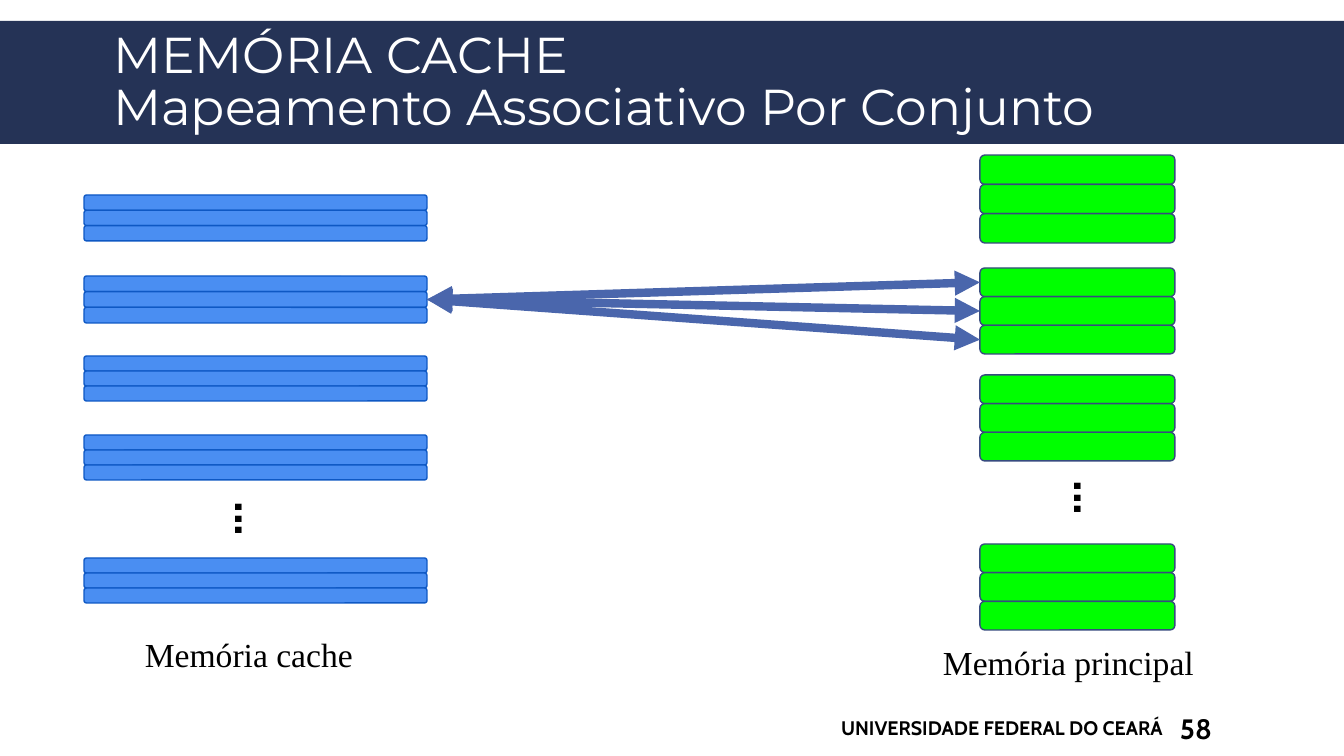
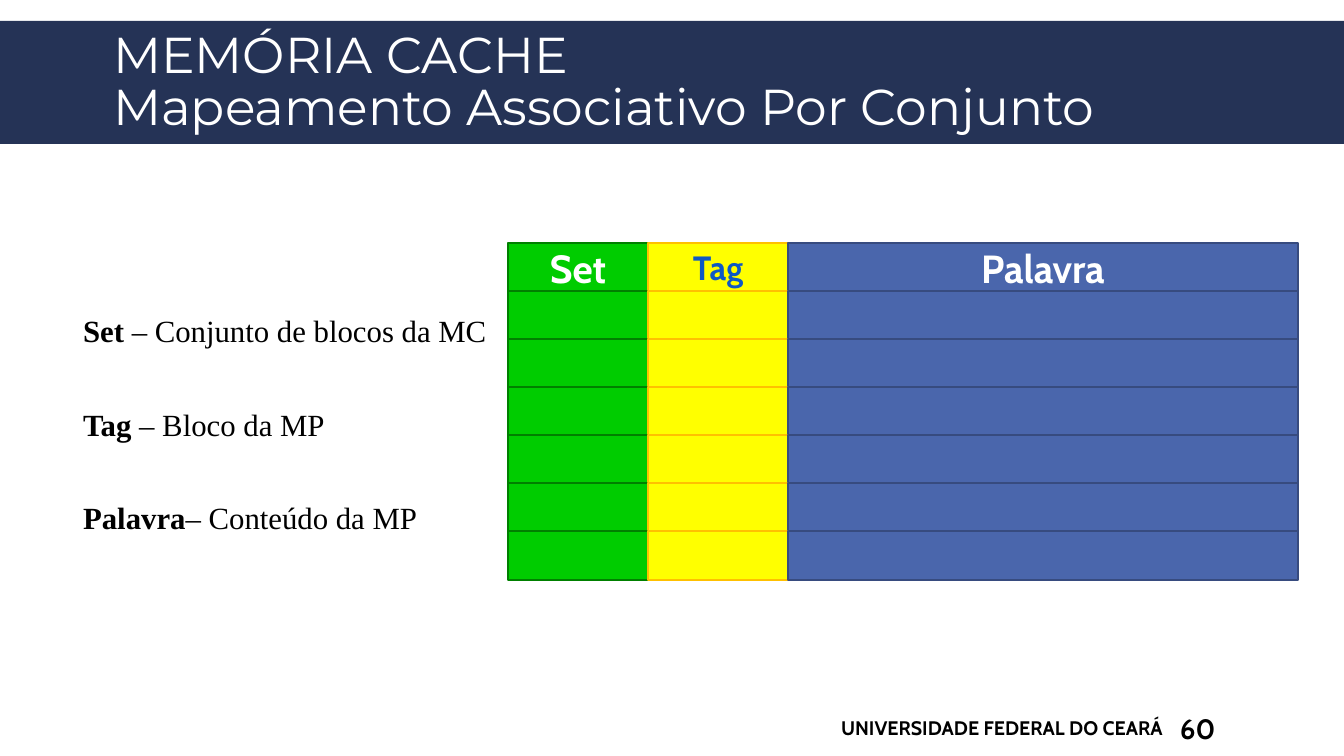
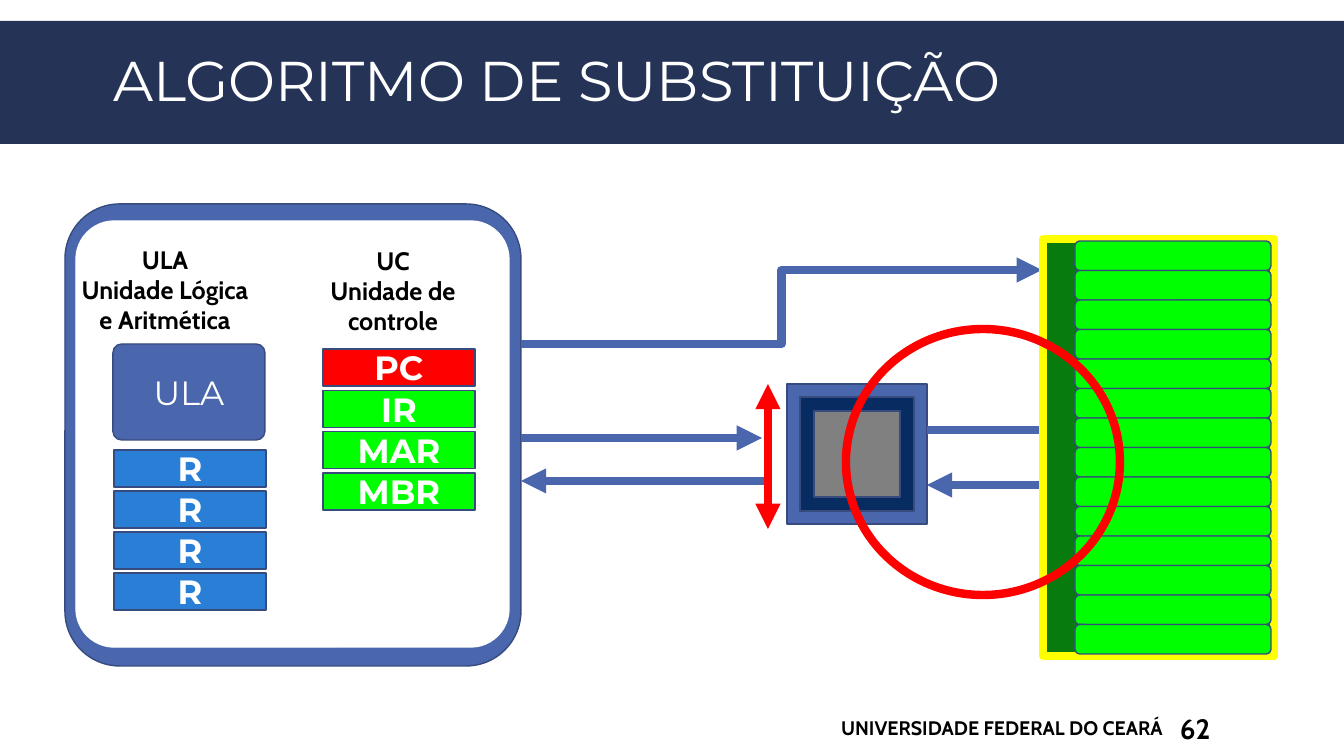
import dataclasses

import pptx
import pptx.dml.color
import pptx.enum.shapes
import pptx.enum.text
import pptx.oxml
import pptx.oxml.ns
import pptx.util

SHAPE = pptx.enum.shapes.MSO_SHAPE
LINK = pptx.enum.shapes.MSO_CONNECTOR
ALIGN = pptx.enum.text.PP_ALIGN
ANCHOR = pptx.enum.text.MSO_ANCHOR
FIT = pptx.enum.text.MSO_AUTO_SIZE
Pt = pptx.util.Pt
SLIDE_W, SLIDE_H = 1344, 756
EMU_PER_PX = 12192000 / SLIDE_W


@dataclasses.dataclass(frozen=True)
class Theme:
    band: str = "253356"
    white: str = "FFFFFF"
    black: str = "000000"
    blue: str = "4A66AC"
    edge: str = "374B7F"
    navy: str = "072C62"
    grey: str = "808080"
    register: str = "297FD5"
    cache: str = "4A8EF2"
    cache_edge: str = "0E58C4"
    memory: str = "00FF00"
    memory_side: str = "077B0D"
    red: str = "FF0000"
    yellow: str = "FFFF00"
    amber: str = "FFC000"
    green: str = "00CC00"
    green_edge: str = "008000"
    title_font: str = "Montserrat"
    label_font: str = "Cabin"
    body_font: str = "Times New Roman"
    title: int = 36
    wide_title: int = 40
    body: int = 22
    caption: int = 24
    header: int = 28
    unit: int = 18
    footer: int = 14
    number: int = 20


T = Theme()


def px(n):
    return pptx.util.Emu(round(n * EMU_PER_PX))


def rgb(code):
    return pptx.dml.color.RGBColor.from_string(code)


def set_all(obj, values):
    for name, value in values.items():
        setattr(obj, name, value)


def place(sp, x, y, w, h):
    set_all(sp, dict(left=px(x), top=px(y), width=px(w), height=px(h)))


def xml(tag_and_attrs):
    return pptx.oxml.parse_xml(f"<{tag_and_attrs} {pptx.oxml.ns.nsdecls('a')}/>")


def style_run(r, font, size, color=T.black, bold=False):
    set_all(r.font, dict(name=font, size=Pt(size), bold=bold))
    r.font.color.rgb = rgb(color)


def write(p, text, *style, align=ALIGN.LEFT):
    p.text = text
    p.alignment = align
    for r in p.runs:
        style_run(r, *style)


def add_box(s, kind, x, y, w, h, fill, line, weight=1, adj=None):
    sp = s.shapes.add_shape(kind, px(x), px(y), px(w), px(h))
    sp.shadow.inherit = False
    if fill:
        sp.fill.solid()
        sp.fill.fore_color.rgb = rgb(fill)
    else:
        sp.fill.background()
    if line:
        sp.line.color.rgb = rgb(line)
        sp.line.width = Pt(weight)
    else:
        sp.line.fill.background()
    if adj is not None:
        sp.adjustments[0] = adj
    return sp


def label_box(sp, text, *style):
    tf = sp.text_frame
    set_all(tf, dict(margin_top=0, margin_bottom=0, vertical_anchor=ANCHOR.MIDDLE))
    write(tf.paragraphs[0], text, *style, align=ALIGN.CENTER)


def add_text(s, x, y, w, h, lines, *style, align=ALIGN.LEFT, **frame):
    sp = s.shapes.add_textbox(px(x), px(y), px(w), px(h))
    tf = sp.text_frame
    set_all(tf, {"word_wrap": True, **frame})
    for i, line in enumerate(lines):
        p = tf.add_paragraph() if i else tf.paragraphs[0]
        write(p, line, *style, align=align)
    return sp


def add_line(s, start, end, color, kind=LINK.STRAIGHT, both=False):
    """Thick line with an arrowhead at its end, or at both ends."""
    cx = s.shapes.add_connector(kind, *(px(n) for n in (*start, *end)))
    cx.line.color.rgb = rgb(color)
    cx.line.width = Pt(6)
    ln = cx.line._get_or_add_ln()
    for tag in ("a:headEnd", "a:tailEnd") if both else ("a:tailEnd",):
        ln.append(xml(f'{tag} type="triangle"'))
    ln.getparent().append(xml("a:effectLst"))
    return cx


def add_stack(s, x, y, w, h, count, fill, line):
    step = h / count
    return [add_box(s, SHAPE.ROUNDED_RECTANGLE, x, y + i * step, w, step, fill, line)
            for i in range(count)]


def dress_master(prs, s):
    """Give the master its band, footer and title style, by way of slide s."""
    master = prs.slide_master
    band = add_box(s, SHAPE.RECTANGLE, 0, 21, SLIDE_W, 123, T.band, None)
    footer = add_text(s, 617, 708, 556, 40, ["UNIVERSIDADE FEDERAL DO CEARÁ"],
                      T.label_font, T.footer, T.black, True,
                      align=ALIGN.RIGHT, vertical_anchor=ANCHOR.MIDDLE)
    for i, sp in enumerate((band, footer)):
        sp.element.xpath(".//p:cNvPr")[0].set("id", str(20 + i))
        master.shapes.element.insert(2 + i, sp.element)
    level = master.element.xpath("./p:txStyles/p:titleStyle/a:lvl1pPr")[0]
    level.set("algn", "l")
    level.find(pptx.oxml.ns.qn("a:defRPr")).set("sz", str(T.title * 100))
    for sp in master.placeholders:
        if sp.placeholder_format.type == pptx.enum.shapes.PP_PLACEHOLDER.TITLE:
            place(sp, 103, 25, 1142, 118)


def add_slide(prs, layout, title, number, size=T.title):
    s = prs.slides.add_slide(prs.slide_layouts[layout])
    tf = s.shapes.title.text_frame
    set_all(tf, dict(auto_size=FIT.NONE, vertical_anchor=ANCHOR.MIDDLE))
    p = tf.paragraphs[0]
    write(p, title, T.title_font, size, T.white)
    p.line_spacing = 0.85
    add_text(s, 1175, 708, 104, 40, [number], T.label_font, T.number, T.black, True,
             vertical_anchor=ANCHOR.MIDDLE, margin_left=px(5), margin_top=px(5),
             margin_bottom=px(5))
    return s


def draw_block_column(s, x, y, w, stacks, colors, dots, caption):
    """Stacks of three blocks, with an ellipsis and a caption; offsets from x, y."""
    rows = [add_stack(s, x, y + top, w, h, 3, *colors) for top, h in stacks]
    dx, dy = dots
    sp = add_text(s, x + dx, y + dy, 65, 72, ["..."], T.label_font, T.title, T.black,
                  True, word_wrap=False, auto_size=FIT.SHAPE_TO_FIT_TEXT)
    sp.rotation = 90
    text, dx, dy, width = caption
    add_text(s, x + dx, y + dy, width, 50, [text], T.body_font, T.caption)
    return rows


def draw_mapping(s):
    cache = draw_block_column(
        s, 84, 195, 343, [(0, 46), (81, 47), (161, 45), (240, 45), (363, 45)],
        (T.cache, T.cache_edge), (138, 293), ("Memória cache", 51, 434, 240))
    memory = draw_block_column(
        s, 980, 155, 195, [(0, 88), (113, 86), (220, 86), (389, 86)],
        (T.memory, T.edge), (81, 312), ("Memória principal", -47, 482, 288))
    for block in memory[1]:
        cx = add_line(s, (427, 300), (980, 300), T.blue, both=True)
        cx.begin_connect(cache[1][1], 3)
        cx.end_connect(block, 1)


def fill_definitions(body, x, y, w, h, entries):
    place(body, x, y, w, h)
    tf = body.text_frame
    tf.auto_size = FIT.NONE
    for i, (term, meaning) in enumerate(entries):
        p = tf.add_paragraph() if i else tf.paragraphs[0]
        set_all(p, dict(line_spacing=2.0, space_before=Pt(12), space_after=Pt(2)))
        for text, bold in ((term, True), (meaning, False)):
            r = p.add_run()
            r.text = text
            style_run(r, T.body_font, T.body, T.black, bold)
        pPr = p._p.get_or_add_pPr()
        pPr.set("marL", str(px(20)))
        pPr.set("indent", "0")
        pPr.append(xml("a:buNone"))


def draw_address_fields(s, x, y, fields, rows):
    """Memory words as rows of boxes, one per field, named in the first row."""
    for row in range(rows):
        left = x
        for name, w, fill, line, color, size in fields:
            sp = add_box(s, SHAPE.RECTANGLE, left, y + 48 * row, w, 49, fill, line)
            if row == 0:
                label_box(sp, name, T.label_font, size, color, True)
            left += w


def draw_registers(s, x, y, h, registers):
    step = (h - 37) / (len(registers) - 1)
    for i, (name, fill) in enumerate(registers):
        sp = add_box(s, SHAPE.RECTANGLE, x, y + step * i, 152, 37, fill, T.edge)
        label_box(sp, name, T.title_font, T.caption, T.white, True)


def draw_processor(s, x, y):
    rounded = SHAPE.ROUNDED_RECTANGLE
    add_box(s, rounded, x, y, 456, 462, T.blue, T.edge, adj=0.12)
    add_box(s, rounded, x + 11, y + 17, 433, 426, T.white, T.white, adj=0.09)
    for dx, dy, w, lines in ((-1, 35, 202, ["ULA", "Unidade Lógica e Aritmética"]),
                             (252, 36, 152, ["UC", "Unidade de controle"])):
        add_text(s, x + dx, y + dy, w, 102, lines, T.label_font, T.unit, T.black, True,
                 align=ALIGN.CENTER)
    label_box(add_box(s, rounded, x + 48, y + 140, 152, 96, T.blue, T.edge, adj=0.09),
              "ULA", T.title_font, T.caption, T.white)
    draw_registers(s, x + 49, y + 246, 160, [("R", T.register)] * 4)
    draw_registers(s, x + 258, y + 145, 161, [("PC", T.red), ("IR", T.memory),
                                              ("MAR", T.memory), ("MBR", T.memory)])


def draw_cache_chip(s, x, y, side):
    for inset, fill in ((0, T.blue), (13, T.navy), (27, T.grey)):
        size = side - 2 * inset
        add_box(s, SHAPE.RECTANGLE, x + inset, y + inset, size, size, fill, T.edge)


def draw_memory(s, x, y):
    add_box(s, SHAPE.RECTANGLE, x, y, 231, 417, T.memory_side, T.yellow, 5.25)
    add_stack(s, x + 32, y + 2, 196, 413, 14, T.memory, T.edge)


def draw_replacement(s):
    draw_cache_chip(s, 787, 384, 140)
    draw_processor(s, 65, 204)
    add_line(s, (521, 438), (762, 438), T.blue)
    add_line(s, (765, 481), (521, 481), T.blue)
    add_line(s, (768, 384), (768, 529), T.red, both=True)
    add_line(s, (521, 344), (1042, 270), T.blue, LINK.ELBOW)
    add_line(s, (927, 430), (1084, 430), T.blue)
    add_line(s, (1084, 485), (927, 485), T.blue)
    draw_memory(s, 1043, 239)
    add_box(s, SHAPE.OVAL, 846, 329, 274, 266, None, T.red, 6)


def main():
    prs = pptx.Presentation()
    set_all(prs, dict(slide_width=px(SLIDE_W), slide_height=px(SLIDE_H)))
    mapping_title = "MEMÓRIA CACHE\nMapeamento Associativo Por Conjunto"

    s = add_slide(prs, 5, mapping_title, "58")
    dress_master(prs, s)
    draw_mapping(s)

    s = add_slide(prs, 1, mapping_title, "60")
    fill_definitions(s.placeholders[1], 53, 270, 456, 338, [
        ("Set", " – Conjunto de blocos da MC"),
        ("Tag", " – Bloco da MP"),
        ("Palavra", "– Conteúdo da MP")])
    draw_address_fields(s, 508, 243, [
        ("Set", 140, T.green, T.green_edge, T.white, T.header),
        ("Tag", 140, T.yellow, T.amber, T.cache_edge, T.caption),
        ("Palavra", 510, T.blue, T.edge, T.white, T.header)], rows=7)

    s = add_slide(prs, 5, "ALGORITMO DE SUBSTITUIÇÃO", "62", T.wide_title)
    draw_replacement(s)
    prs.save("out.pptx")


if __name__ == "__main__":
    main()
